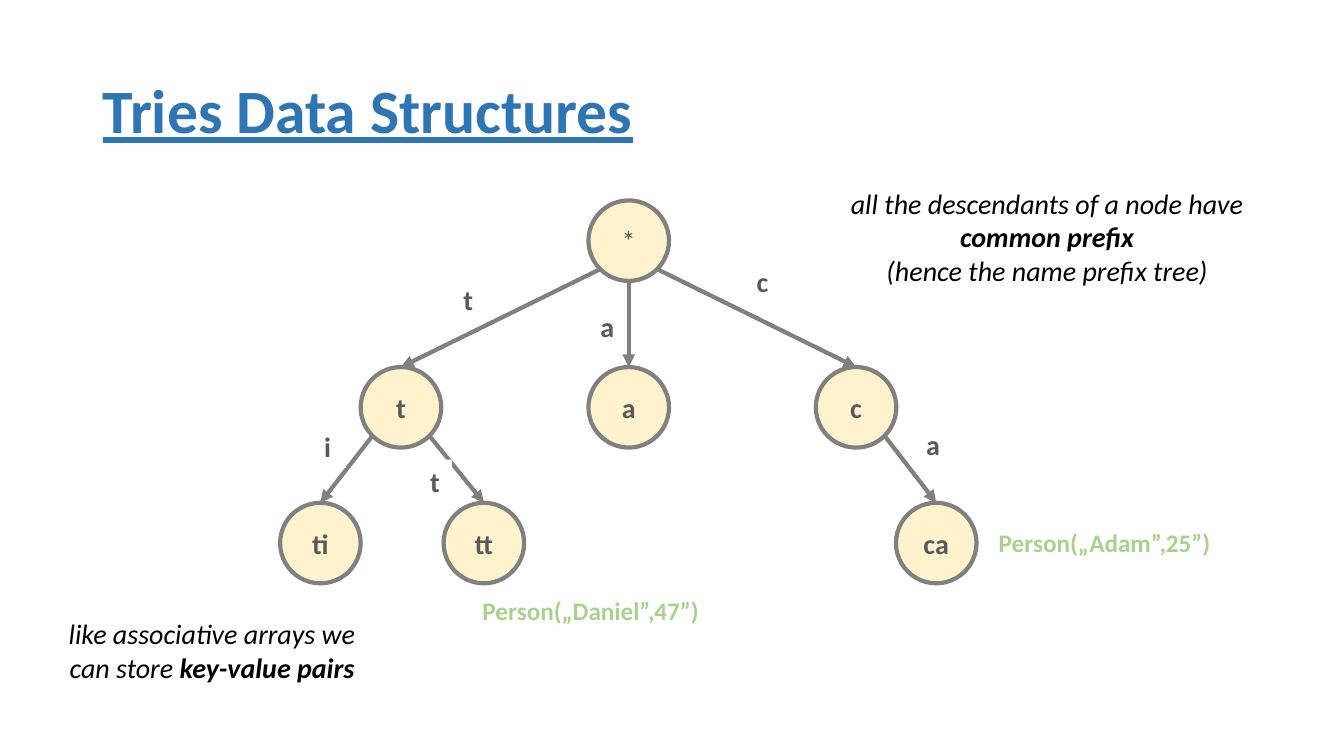
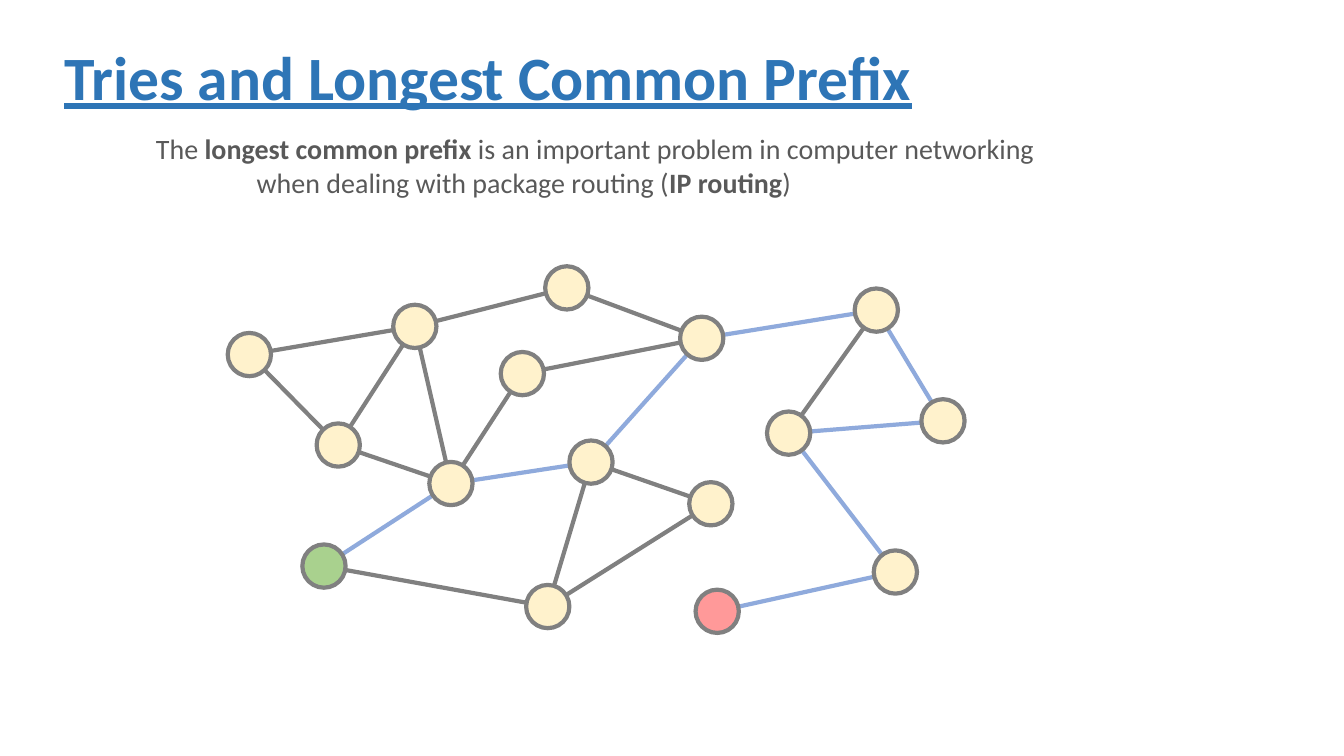
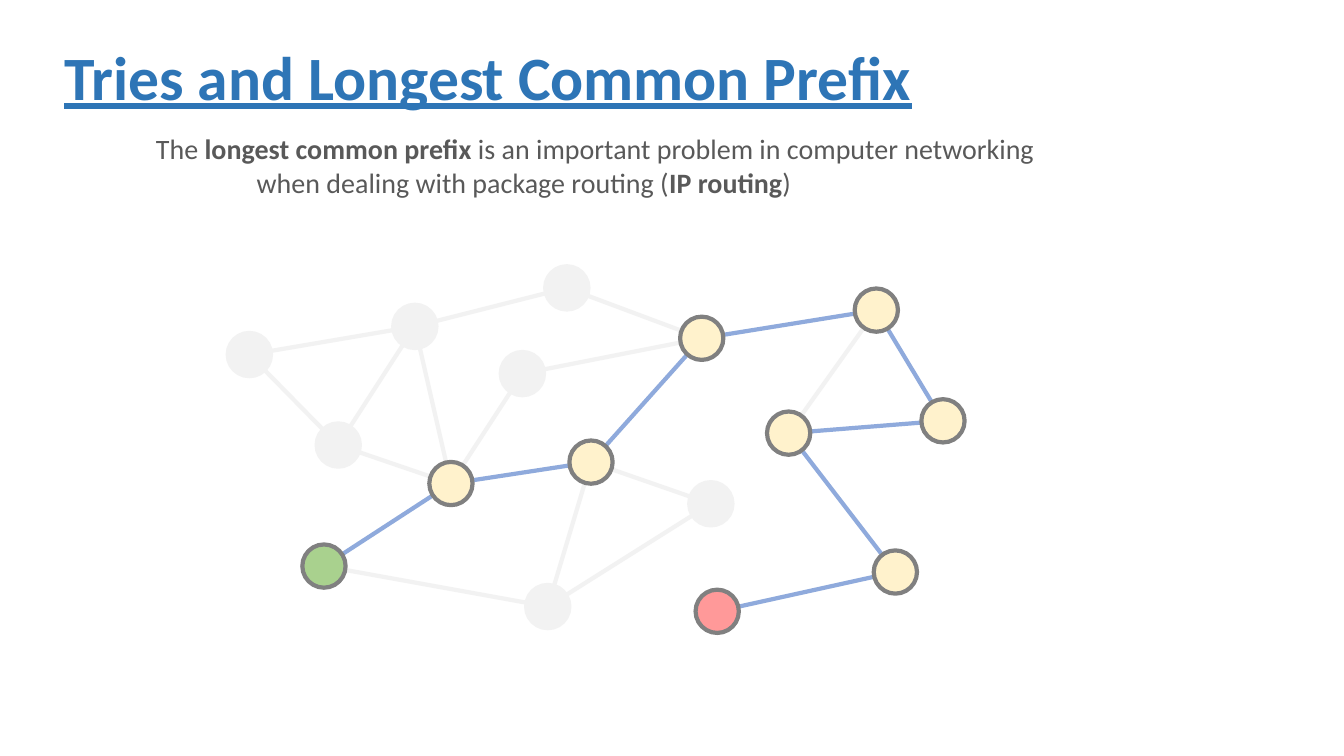
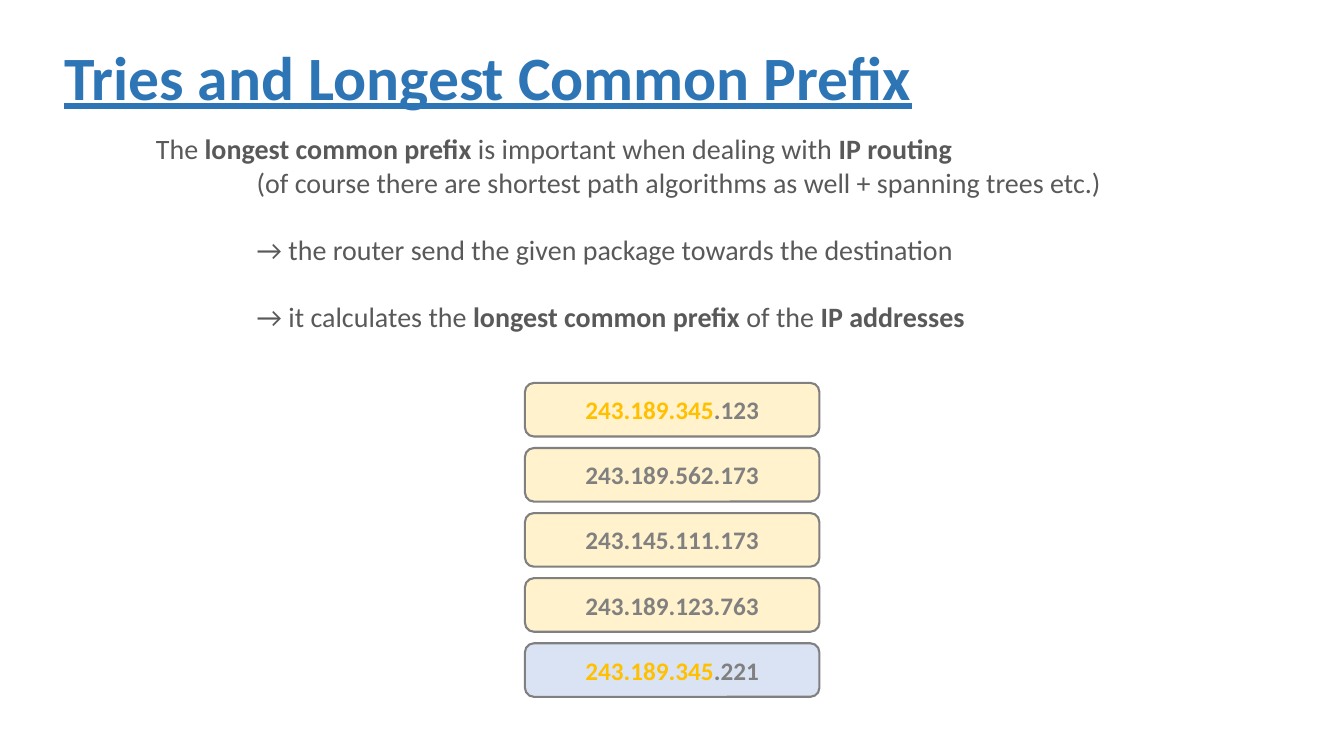
"""Build four slides on tries and longest common prefix."""
from itertools import pairwise
from math import sqrt

from pptx import Presentation
from pptx.dml.color import RGBColor
from pptx.enum.shapes import MSO_CONNECTOR as CONN, MSO_SHAPE as SHAPE
from pptx.enum.text import MSO_ANCHOR as ANCHOR, PP_ALIGN as ALIGN
from pptx.oxml.ns import qn
from pptx.oxml.xmlchemy import OxmlElement
from pptx.util import Cm, Pt

FONT = "Calibri"
BLACK = RGBColor(0x00, 0x00, 0x00)
WHITE = RGBColor(0xFF, 0xFF, 0xFF)
BLUE = RGBColor(0x2E, 0x75, 0xB6)
DARK = RGBColor(0x59, 0x59, 0x59)
GREY = RGBColor(0x80, 0x80, 0x80)
PALE = RGBColor(0xF2, 0xF2, 0xF2)
CREAM = RGBColor(0xFF, 0xF2, 0xCC)
GREEN = RGBColor(0xA9, 0xD1, 0x8E)
RED = RGBColor(0xFF, 0x99, 0x99)
ROUTE_BLUE = RGBColor(0x8F, 0xAA, 0xDC)
ICE = RGBColor(0xDA, 0xE3, 0xF3)
GOLD = RGBColor(0xFF, 0xC0, 0x00)

TREE_NODE = 2.03
TREE_NODES = {
    "*": (7.77, 0), "t": (2.03, 4.2), "a": (7.77, 4.2), "c": (13.5, 4.2),
    "ti": (0, 7.62), "tt": (4.12, 7.62), "ca": (15.52, 7.62),
}
TREE_EDGES = [
    ("*", "t", (4.37, 1.94)), ("*", "a", (7.82, 2.62)), ("*", "c", (11.76, 1.48)),
    ("t", "ti", (0.86, 5.64)), ("t", "tt", (3.53, 6.53)), ("c", "ca", (16.03, 5.59)),
]
TREE_VALUES = [("Person(„Adam”,25”)", (17.86, 8.11)),
               ("Person(„Daniel”,47”)", (4.85, 9.83))]

NET_NODE = 1.09
NET_NODES = {
    "A": (0, 1.68), "B": (2.24, 3.96), "C": (4.17, 0.97), "D": (1.88, 7.01),
    "E": (5.08, 4.93), "F": (7.52, 8.03), "G": (11.4, 1.27), "H": (15.8, 0.56),
    "I": (11.79, 8.15), "J": (6.88, 2.16), "K": (8.61, 4.39), "L": (13.59, 3.66),
    "M": (8, 0), "N": (11.63, 5.44), "O": (16.28, 7.16), "P": (17.48, 3.35),
}
NET_LINKS = "JE AC AB CB EB FD KF CE NF KN LH MC GJ GM".split()
NET_ROUTE = "DEKGHPLOI"
NET_ENDS = {"D": GREEN, "I": RED}

PREFIX_TITLE = "Tries and Longest Common Prefix"
ROUTING = ["The |longest common prefix| is an important problem in computer networking",
           "when dealing with package routing (|IP routing|)"]
LOOKUP = ["The |longest common prefix| is important when dealing with |IP routing|",
          "(of course there are shortest path algorithms as well + spanning trees etc.)",
          "→ the router send the given package towards the destination",
          "→ it calculates the |longest common prefix| of the |IP addresses|"]
ADDRESSES = ["|243.189.345|.123", "243.189.562.173", "243.145.111.173",
             "243.189.123.763", "|243.189.345|.221"]


def write(sp, lines, size, color, bold=False, italic=False, align=ALIGN.LEFT,
          accent=None):
    """Write lines into a shape; parts between bars are bold or in the accent."""
    tf = sp.text_frame
    tf.word_wrap = True
    for i, line in enumerate(lines):
        p = tf.add_paragraph() if i else tf.paragraphs[0]
        p.alignment = align
        f = p.font
        f.name, f.size, f.bold, f.italic = FONT, Pt(size), bold, italic
        f.color.rgb = color
        for j, part in enumerate(line.split("|")):
            if part:
                r = p.add_run()
                r.text = part
                if j % 2 and accent:
                    r.font.color.rgb = accent
                elif j % 2:
                    r.font.bold = True
    return tf


def add_text(s, box, lines, size, color, **style):
    """Add a text box at a box given in centimetres."""
    sp = s.shapes.add_textbox(*map(Cm, box))
    write(sp, lines, size, color, **style)
    return sp


def add_label(s, box, text, size, color):
    """Add a bold label on a white ground."""
    sp = add_text(s, box, [text], size, color, bold=True)
    sp.fill.solid()
    sp.fill.fore_color.rgb = WHITE


def add_node(s, kind, box, fill, line=GREY, width=3):
    """Add an outlined, filled shape."""
    sp = s.shapes.add_shape(kind, *map(Cm, box))
    sp.shadow.inherit = False
    sp.fill.solid()
    sp.fill.fore_color.rgb = fill
    sp.line.color.rgb = line
    sp.line.width = Pt(width)
    sp.text_frame.vertical_anchor = ANCHOR.MIDDLE
    return sp


def add_line(s, start, end, color=GREY, arrow=False):
    """Add a straight line, with an arrowhead at its end on request."""
    cx = s.shapes.add_connector(CONN.STRAIGHT, *map(Cm, (*start, *end)))
    cx.line.color.rgb = color
    cx.line.width = Pt(3)
    sppr = cx._element.spPr
    if arrow:
        head = OxmlElement("a:tailEnd")
        head.set("type", "triangle")
        sppr.find(qn("a:ln")).append(head)
    sppr.append(OxmlElement("a:effectLst"))


def add_title(s, x, y, text):
    """Add the underlined slide title."""
    sp = add_text(s, (x, y, 29.21, 3.68), [text], 44, BLUE, bold=True)
    sp.text_frame.vertical_anchor = ANCHOR.MIDDLE
    p = sp.text_frame.paragraphs[0]
    p.line_spacing = 0.9
    p.font.underline = True


def add_note(s, box, lines):
    """Add a centred italic remark."""
    add_text(s, box, lines, 20, BLACK, italic=True, align=ALIGN.CENTER)


def add_body(s, x, y, lines, gap=24):
    """Add an opening line, its indented lines, and a gap before each later one."""
    sp = add_text(s, (x, y, 27, 1.96), lines, 20, DARK)
    for i, p in enumerate(sp.text_frame.paragraphs):
        if i:
            p._p.get_or_add_pPr().set("marL", str(Cm(2.54)))
        if i > 1:
            p.space_before = Pt(gap)


def add_tree(s, x, y):
    """Draw the trie with its edge labels and stored values."""
    d = TREE_NODE
    for text, (dx, dy) in TREE_NODES.items():
        sp = add_node(s, SHAPE.OVAL, (x + dx, y + dy, d, d), CREAM)
        write(sp, [text], 20, DARK, bold=text != "*", align=ALIGN.CENTER)
    for parent, child, _ in TREE_EDGES:
        (px, py), (cx, cy) = TREE_NODES[parent], TREE_NODES[child]
        side = (cx > px) - (cx < px)
        reach = d / 2 / sqrt(2) if side else d / 2
        start = x + px + d / 2 + side * reach, y + py + d / 2 + reach
        add_line(s, start, (x + cx + d / 2, y + cy), arrow=True)
    for _, child, (dx, dy) in TREE_EDGES:
        add_label(s, (x + dx, y + dy, 0.8, 1.11), child[-1], 20, DARK)
    for text, (dx, dy) in TREE_VALUES:
        add_label(s, (x + dx, y + dy, 6.2, 1.03), text, 18, GREEN)


def add_network(s, x, y, faded):
    """Draw the network, fading everything off the route on request."""
    d = NET_NODE
    centers = {k: (x + dx + d / 2, y + dy + d / 2) for k, (dx, dy) in NET_NODES.items()}
    for a, b in NET_LINKS:
        add_line(s, centers[a], centers[b], PALE if faded else GREY)
    for a, b in pairwise(NET_ROUTE):
        add_line(s, centers[a], centers[b], ROUTE_BLUE)
    for k, (dx, dy) in NET_NODES.items():
        pale = faded and k not in NET_ROUTE
        add_node(s, SHAPE.OVAL, (x + dx, y + dy, d, d),
                 PALE if pale else NET_ENDS.get(k, CREAM), PALE if pale else GREY)


def add_addresses(s, x, y, w, h, pitch):
    """Stack the IP addresses, the last one being the destination."""
    for i, text in enumerate(ADDRESSES):
        fill = ICE if i == len(ADDRESSES) - 1 else CREAM
        sp = add_node(s, SHAPE.ROUNDED_RECTANGLE, (x, y + i * pitch, w, h), fill, width=1.5)
        write(sp, [text], 18, GREY, bold=True, align=ALIGN.CENTER, accent=GOLD)


def trie_slide(s):
    """Build the slide that introduces the trie."""
    add_tree(s, 7.06, 5.05)
    add_note(s, (20.86, 4.57, 11.06, 2.82),
             ["all the descendants of a node have", "|common prefix|",
              "(hence the name prefix tree)"])
    add_title(s, 2.34, 1.02, "Tries Data Structures")
    add_note(s, (1.37, 15.42, 7.95, 1.96),
             ["like associative arrays we", "can store |key-value pairs|"])


def prefix_slide(s, lines):
    """Build the title and text shared by the prefix slides."""
    add_title(s, 1.37, 0.18, PREFIX_TITLE)
    add_body(s, 3.68, 3.2, lines)


def main():
    """Build and save the presentation."""
    prs = Presentation()
    prs.slide_width, prs.slide_height = Cm(33.87), Cm(19.05)
    slides = [prs.slides.add_slide(prs.slide_layouts[6]) for _ in range(4)]
    trie_slide(slides[0])
    for s, faded in zip(slides[1:3], (False, True)):
        prefix_slide(s, ROUTING)
        add_network(s, 5.74, 6.71, faded)
    prefix_slide(slides[3], LOOKUP)
    add_addresses(slides[3], 13.23, 9.65, 7.42, 1.35, 1.64)
    prs.save("out.pptx")


if __name__ == "__main__":
    main()
